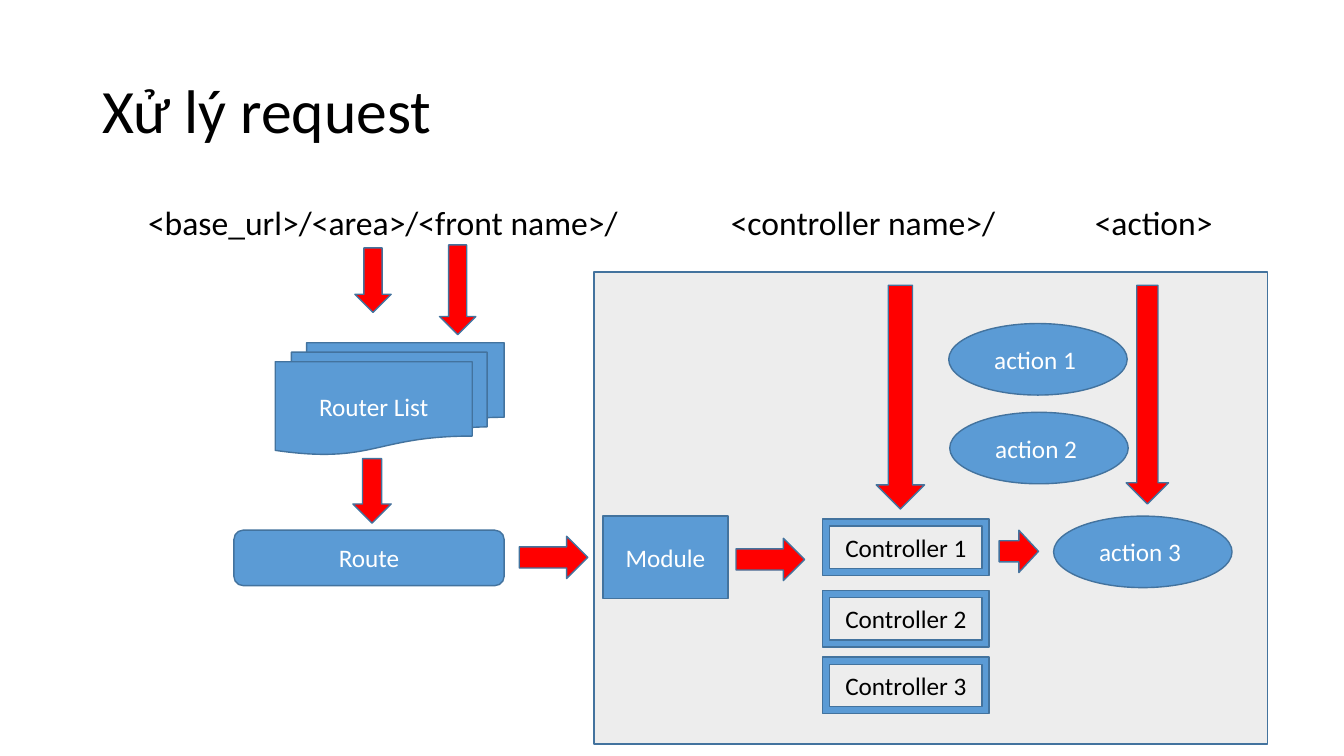
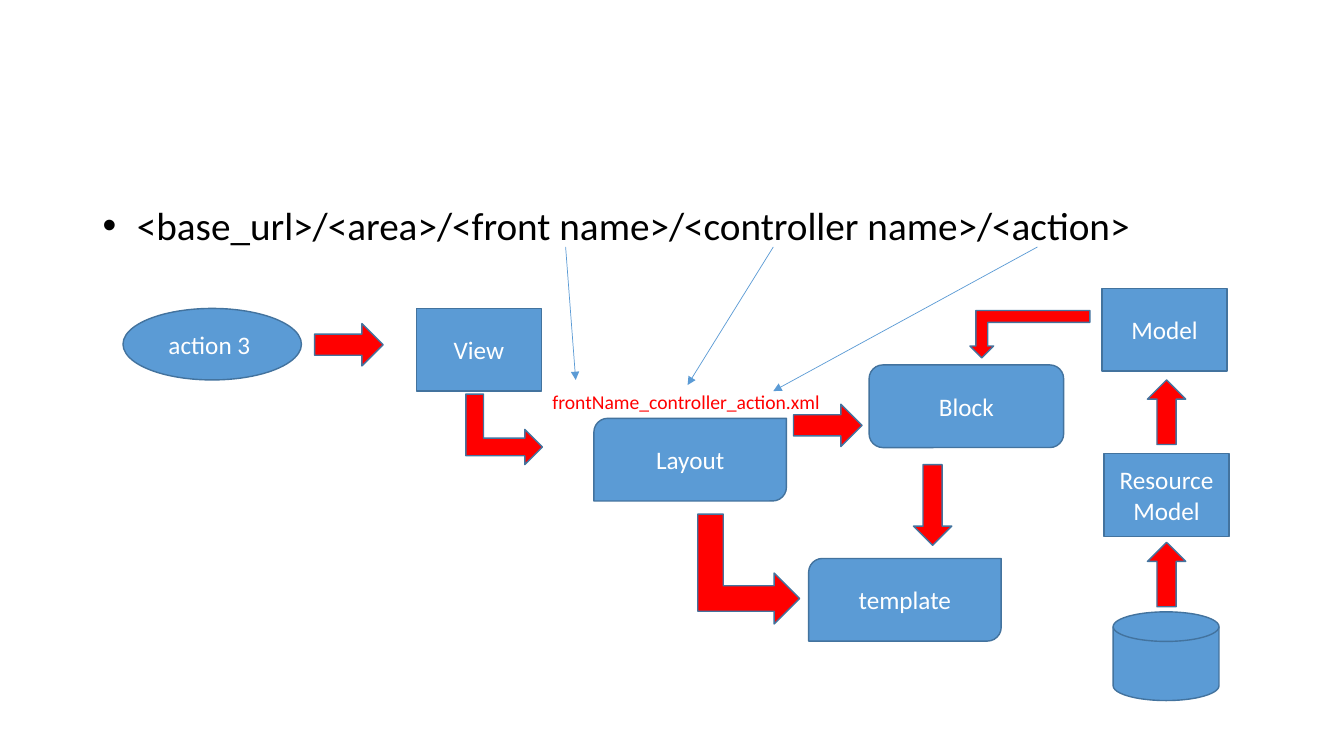
from dataclasses import dataclass

from lxml.etree import SubElement
from pptx import Presentation
from pptx.dml.color import RGBColor
from pptx.enum.shapes import MSO_CONNECTOR as Wire, MSO_SHAPE as Kind
from pptx.enum.text import MSO_ANCHOR as Anchor, PP_ALIGN as Align
from pptx.oxml.ns import qn
from pptx.util import Inches, Pt

BLACK = RGBColor(0x00, 0x00, 0x00)
WHITE = RGBColor(0xFF, 0xFF, 0xFF)
RED = RGBColor(0xFF, 0x00, 0x00)
BLUE = RGBColor(0x5B, 0x9B, 0xD5)
EDGE = RGBColor(0x43, 0x73, 0x9E)
PALE = RGBColor(0xED, 0xED, 0xED)

FONT = {"name": "Calibri", "bold": False}
BODY = {"line_spacing": 0.9, "space_before": Pt(10), "alignment": Align.LEFT}
HEAD = {"line_spacing": 0.9, "alignment": Align.LEFT}
PLAIN = {"alignment": Align.LEFT}
NODE = {"alignment": Align.CENTER}

BLOCK = (1.24, 0.82)
OVAL = (1.77, 0.71)
FRAME = (1.65, 0.56)
CARD = (1.91, 0.82)
RIGHT = (0.68, 0.42)
SHORT = (0.38, 0.64)


@dataclass
class Box:
    x: float
    y: float
    w: float
    h: float

    def inner(self, x, y, w, h):
        return Box(self.x + x, self.y + y, w, h)

    def span(self):
        return [Inches(v) for v in (self.x, self.y, self.w, self.h)]


def apply(item, values):
    for key, value in values.items():
        setattr(item, key, value)


def write(frame, text, size, color, form):
    frame.text = text
    for para in frame.paragraphs:
        apply(para, form)
        for run in para.runs:
            apply(run.font, {**FONT, "size": Pt(size)})
            run.font.color.rgb = color


def label(slide, box, text, size, color=BLACK, form=BODY, anchor=Anchor.TOP, wrap=True):
    frame = slide.shapes.add_textbox(*box.span()).text_frame
    apply(frame, {"word_wrap": wrap, "vertical_anchor": anchor})
    write(frame, text, size, color, form)
    return frame


def node(slide, kind, box, text="", fill=BLUE, ink=WHITE, turn=0):
    shape = slide.shapes.add_shape(kind, *box.span())
    shape.shadow.inherit = False
    shape.rotation = turn
    shape.fill.solid()
    shape.fill.fore_color.rgb = fill
    shape.line.color.rgb = EDGE
    shape.line.width = Pt(1)
    if text:
        apply(shape.text_frame, {"word_wrap": True, "vertical_anchor": Anchor.MIDDLE})
        write(shape.text_frame, text, 18, ink, NODE)


def arrow(slide, kind, box, turn=0):
    node(slide, kind, box, fill=RED, turn=turn)


def link(slide, box, start, end):
    ends = [Inches(v) for x, y in (start, end) for v in (box.x + x, box.y + y)]
    wire = slide.shapes.add_connector(Wire.STRAIGHT, *ends)
    wire.line.color.rgb = BLUE
    wire.line.width = Pt(0.5)
    props = wire.element.spPr
    SubElement(props.find(qn("a:ln")), qn("a:tailEnd"), type="triangle")
    SubElement(props, qn("a:effectLst"))


def title(slide, box, text):
    label(slide, box, text, 44, form=HEAD, anchor=Anchor.MIDDLE)


def address(slide, box):
    pieces = [
        (0, 5.4, "<base_url>/<area>/<front name>/"),
        (5.78, 3.2, "<controller name>/"),
        (9.39, 1.8, "<action>"),
    ]
    for x, width, text in pieces:
        label(slide, box.inner(x, 0, width, box.h), text, 24)


def bullet(slide, box, text):
    para = label(slide, box, text, 28).paragraphs[0]
    props = para._p.get_or_add_pPr()
    props.set("marL", str(Inches(0.34)))
    props.set("indent", str(-Inches(0.34)))
    SubElement(props, qn("a:buFont"), typeface="Arial")
    SubElement(props, qn("a:buChar"), char="•")


def routing(slide, box):
    for spot in [(1.2, 0.03, 0.36, 0.64), (2.04, 0, 0.36, 0.89), (1.18, 2.12, *SHORT)]:
        arrow(slide, Kind.DOWN_ARROW, box.inner(*spot))
    node(slide, Kind.ROUNDED_RECTANGLE, box.inner(0, 2.83, 2.68, 0.55), "Route")
    node(slide, Kind.FLOWCHART_MULTIDOCUMENT, box.inner(0.41, 0.97, 2.27, 1.11), "Router List")
    arrow(slide, Kind.RIGHT_ARROW, box.inner(2.83, 2.89, *RIGHT))


def panel(slide, box):
    node(slide, Kind.RECTANGLE, box, fill=PALE)
    node(slide, Kind.FLOWCHART_PROCESS, box.inner(0.09, 2.42, *BLOCK), "Module")
    for num, (x, y) in enumerate([(3.52, 0.51), (3.53, 1.39), (4.56, 2.42)], 1):
        node(slide, Kind.OVAL, box.inner(x, y, *OVAL), f"action {num} ")
    for num, y in enumerate([2.45, 3.16, 3.82], 1):
        node(slide, Kind.FRAME, box.inner(2.27, y, *FRAME), f"Controller {num}", ink=BLACK)
    for spot in [(1.41, 2.64, *RIGHT), (4.02, 2.56, 0.39, 0.42)]:
        arrow(slide, Kind.RIGHT_ARROW, box.inner(*spot))
    for spot in [(2.8, 0.13, 0.48, 2.22), (5.28, 0.13, 0.42, 2.17)]:
        arrow(slide, Kind.DOWN_ARROW, box.inner(*spot))


def view(slide, box):
    node(slide, Kind.OVAL, box.inner(0, 0, *OVAL), "action 3 ")
    arrow(slide, Kind.RIGHT_ARROW, box.inner(1.9, 0.15, *RIGHT))
    node(slide, Kind.FLOWCHART_PROCESS, box.inner(2.91, 0, *BLOCK), "View")
    arrow(slide, Kind.BENT_UP_ARROW, box.inner(3.43, 0.82, 0.7, 0.76), 90)


def layout(slide, box):
    node(slide, Kind.ROUNDED_RECTANGLE, box.inner(3.24, 0, 1.93, 0.82), "Block")
    for x, y, text in [(0.51, 0.53, "Layout"), (2.64, 1.92, "template")]:
        node(slide, Kind.ROUND_2_DIAG_RECTANGLE, box.inner(x, y, *CARD), text)
    label(slide, box.inner(0, 0.2, 2.88, 0.34), "frontName_controller_action.xml",
          14, RED, PLAIN, wrap=False)
    arrow(slide, Kind.BENT_UP_ARROW, box.inner(1.5, 1.52, 1.09, 1.01), 90)
    arrow(slide, Kind.DOWN_ARROW, box.inner(3.68, 0.99, 0.38, 0.8))
    arrow(slide, Kind.RIGHT_ARROW, box.inner(2.49, 0.39, *RIGHT))


def model(slide, box):
    for x, y, text in [(1.31, 0, "Model"), (1.33, 1.64, "Resource\nModel")]:
        node(slide, Kind.FLOWCHART_PROCESS, box.inner(x, y, *BLOCK), text)
    node(slide, Kind.FLOWCHART_MAGNETIC_DISK, box.inner(1.42, 3.21, 1.05, 0.88))
    for y in (0.91, 2.52):
        arrow(slide, Kind.UP_ARROW, box.inner(1.76, y, *SHORT))
    arrow(slide, Kind.BENT_UP_ARROW, box.inner(0, 0.22, 1.19, 0.47), 180)


def links(slide, box):
    ends = [(0, 0.1, 1.32), (2.06, 1.21, 1.37), (4.68, 2.06, 1.43)]
    for top, x, y in ends:
        link(slide, box, (top, 0), (x, y))


def request(slide):
    panel(slide, Box(5.89, 2.7, 6.68, 4.68))
    title(slide, Box(0.92, 0.4, 11.5, 1.45), "Xử lý request")
    address(slide, Box(1.37, 2, 11.05, 0.6))
    routing(slide, Box(2.32, 2.43, 3.51, 3.38))


def render(slide):
    bullet(slide, Box(0.92, 2, 11.5, 4.76),
           "<base_url>/<area>/<front name>/<controller name>/<action>")
    view(slide, Box(1.22, 3.06, 4.15, 1.6))
    layout(slide, Box(5.38, 3.62, 5.17, 2.74))
    model(slide, Box(9.62, 2.86, 2.57, 4.09))
    links(slide, Box(5.61, 2.45, 4.68, 1.43))


def main():
    deck = Presentation()
    deck.slide_width = Inches(13.33)
    deck.slide_height = Inches(7.5)
    for build in (request, render):
        build(deck.slides.add_slide(deck.slide_layouts[6]))
    deck.save("out.pptx")


if __name__ == "__main__":
    main()
